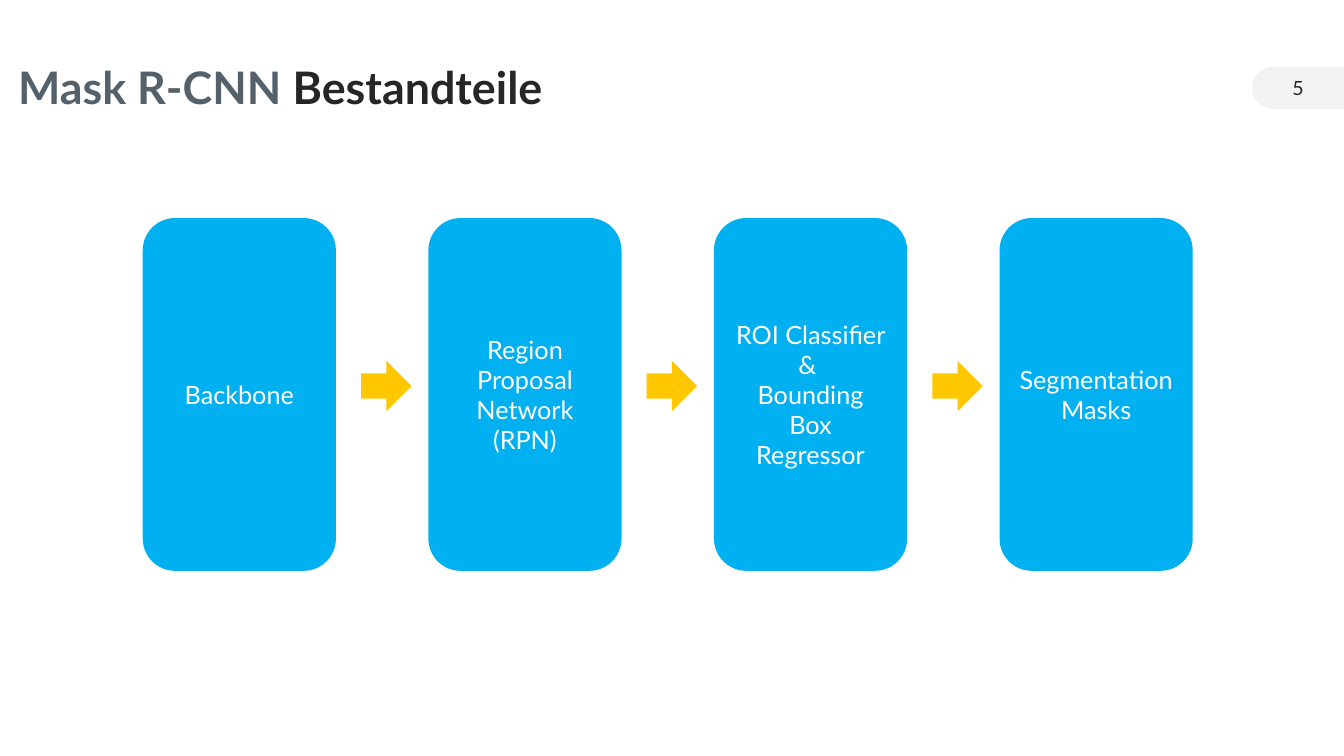
from dataclasses import dataclass

import pptx
import pptx.dml.color
import pptx.enum.shapes
import pptx.enum.text
import pptx.shapes.autoshape
import pptx.slide
import pptx.text.text
import pptx.util

Pt = pptx.util.Pt
Shapes = pptx.enum.shapes.MSO_SHAPE
Align = pptx.enum.text.PP_ALIGN

FONT = "Lato"
WHITE, DARK, SLATE = "FFFFFF", "262626", "55616A"
BLUE, YELLOW, PALE = "00B0F0", "FFC700", "F1F3F5"

STAGE_PITCH = 204
STAGES = [
    ["Backbone"],
    ["Region Proposal Network (RPN)"],
    ["ROI Classifier & ", "Bounding Box Regressor"],
    ["Segmentation Masks"],
]


@dataclass(frozen=True)
class Box:
    left: float
    top: float
    width: float
    height: float

    def lengths(self) -> list[int]:
        return [Pt(value) for value in (self.left, self.top, self.width, self.height)]

    def shifted(self, distance: float) -> "Box":
        return Box(self.left + distance, self.top, self.width, self.height)


FIRST_STAGE = Box(102, 155.75, 138, 252)
FIRST_ARROW = Box(258, 257.75, 36, 36)
TITLE = Box(13, 32.5, 623, 63)
PAGE_NUMBER = Box(894.25, 48.25, 65.75, 28.75)
# Upright before its quarter turn to the left
PAGE_TAB = Box(912, 29.75, 30.25, 65.75)


def color(value: str) -> pptx.dml.color.RGBColor:
    return pptx.dml.color.RGBColor.from_string(value)


def add_run(paragraph: pptx.text.text._Paragraph, text: str, *, size: float,
            fill: str, bold: bool = False) -> None:
    run = paragraph.add_run()
    run.text = text
    run.font.name = FONT
    run.font.size = Pt(size)
    run.font.bold = bold
    run.font.color.rgb = color(fill)


def add_shape(slide: pptx.slide.Slide, kind: Shapes, box: Box,
              fill: str) -> pptx.shapes.autoshape.Shape:
    shape = slide.shapes.add_shape(kind, *box.lengths())
    shape.shadow.inherit = False
    shape.fill.solid()
    shape.fill.fore_color.rgb = color(fill)
    shape.line.fill.background()
    return shape


def add_text_box(slide: pptx.slide.Slide, box: Box) -> pptx.text.text._Paragraph:
    """Add a middle-anchored box without side margins; return its paragraph."""
    frame = slide.shapes.add_textbox(*box.lengths()).text_frame
    frame.word_wrap = True
    frame.margin_left = frame.margin_right = 0
    frame.vertical_anchor = pptx.enum.text.MSO_ANCHOR.MIDDLE
    return frame.paragraphs[0]


def add_stage(slide: pptx.slide.Slide, box: Box, lines: list[str]) -> None:
    shape = add_shape(slide, Shapes.ROUNDED_RECTANGLE, box, BLUE)
    frame = shape.text_frame
    frame.word_wrap = True
    frame.vertical_anchor = pptx.enum.text.MSO_ANCHOR.MIDDLE
    for index, line in enumerate(lines):
        paragraph = frame.add_paragraph() if index else frame.paragraphs[0]
        paragraph.alignment = Align.CENTER
        add_run(paragraph, line, size=18, fill=WHITE)


def add_header(slide: pptx.slide.Slide) -> None:
    tab = add_shape(slide, Shapes.ROUND_2_SAME_RECTANGLE, PAGE_TAB, PALE)
    tab.adjustments[0] = 0.5
    tab.rotation = 270

    number = add_text_box(slide, PAGE_NUMBER)
    number.alignment = Align.CENTER
    add_run(number, "5", size=14, fill=DARK)

    title = add_text_box(slide, TITLE)
    title.line_spacing = 0.9
    add_run(title, "Mask R-CNN ", size=32, fill=SLATE, bold=True)
    add_run(title, "Bestandteile", size=32, fill=DARK, bold=True)


def main() -> None:
    presentation = pptx.Presentation()
    presentation.slide_width, presentation.slide_height = Pt(960), Pt(540)
    slide = presentation.slides.add_slide(presentation.slide_layouts[6])

    add_header(slide)
    for index, lines in enumerate(STAGES):
        distance = index * STAGE_PITCH
        add_stage(slide, FIRST_STAGE.shifted(distance), lines)
        if index < len(STAGES) - 1:
            add_shape(slide, Shapes.RIGHT_ARROW, FIRST_ARROW.shifted(distance), YELLOW)

    presentation.save("out.pptx")


if __name__ == "__main__":
    main()
